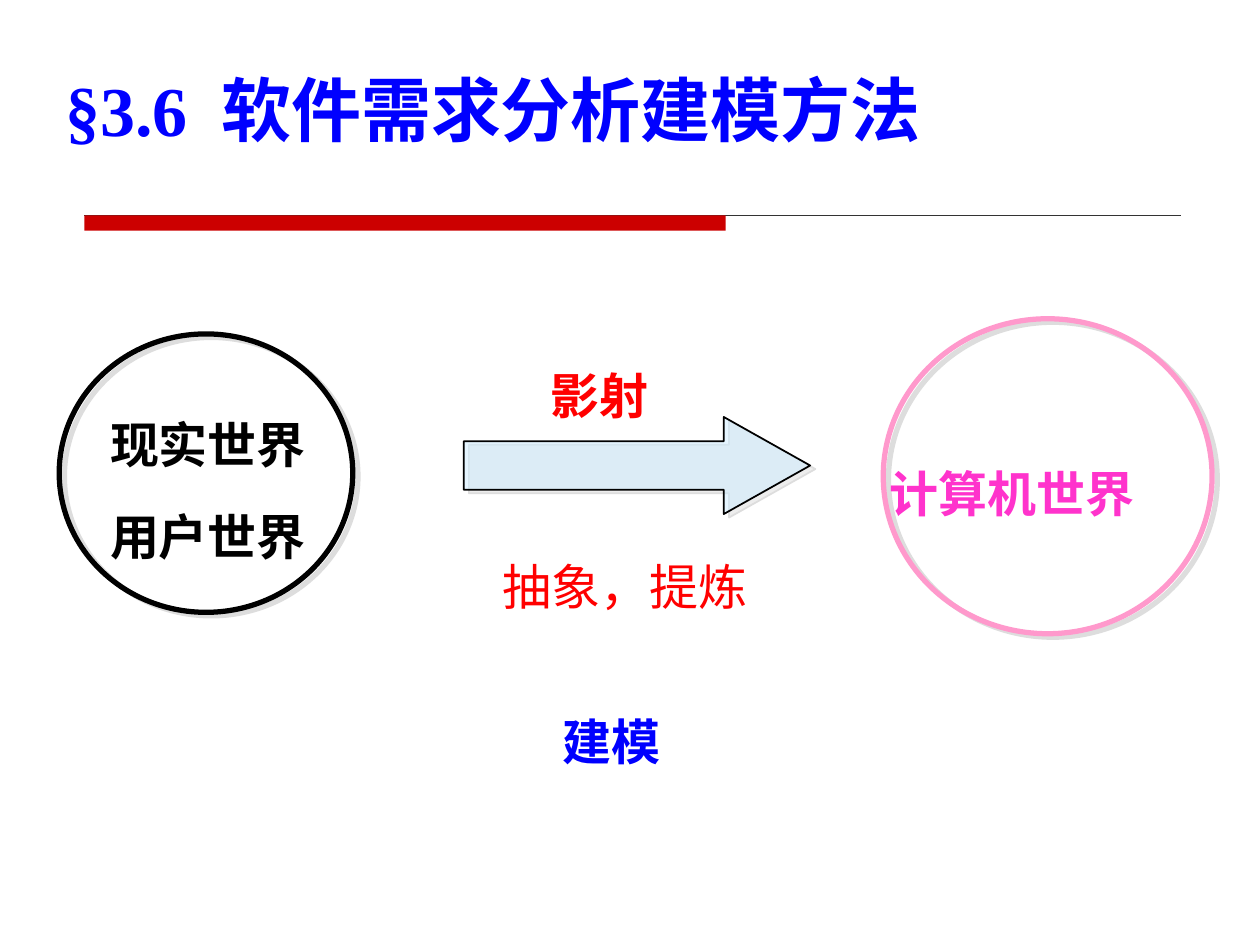
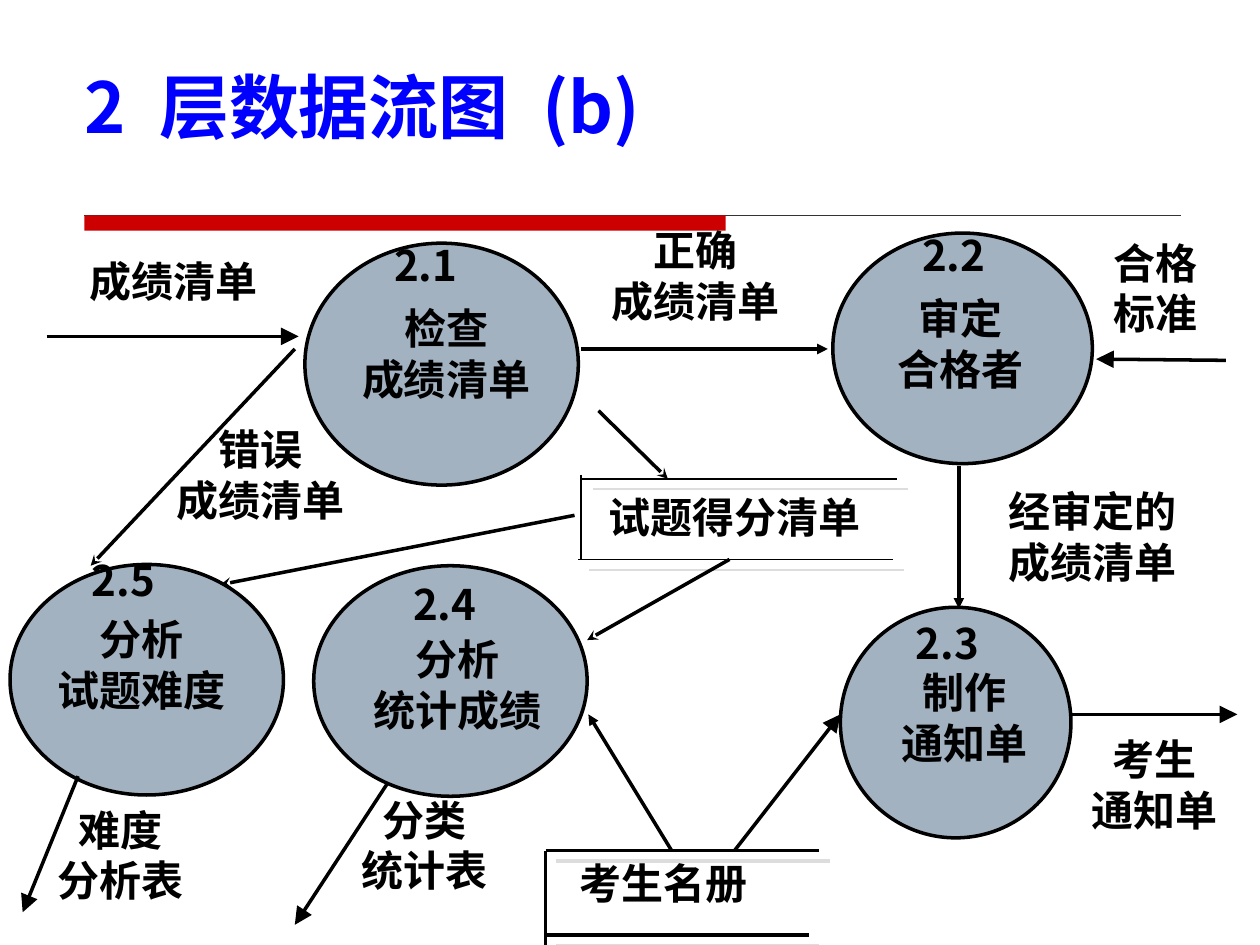
"""Build two slides on requirements modelling and a level-2 data flow diagram."""
from lxml.etree import SubElement
from pptx import Presentation
from pptx.dml.color import RGBColor
from pptx.enum.shapes import MSO_CONNECTOR as Connector, MSO_SHAPE as Shape
from pptx.enum.text import MSO_ANCHOR as Anchor, PP_ALIGN as Align
from pptx.oxml.ns import qn
from pptx.util import Inches, Pt

BLACK = RGBColor(0x00, 0x00, 0x00)
BLUE = RGBColor(0x00, 0x00, 0xFF)
RED = RGBColor(0xFF, 0x00, 0x00)
BAND_RED = RGBColor(0xCC, 0x00, 0x00)
RULE_GREY = RGBColor(0x33, 0x33, 0x33)
MAGENTA = RGBColor(0xFF, 0x33, 0xCC)
PINK = RGBColor(0xFF, 0x99, 0xCC)
PALE_BLUE = RGBColor(0xCC, 0xEC, 0xFF)
PROCESS_FILL = RGBColor(0xA3, 0xB2, 0xC1)
SHADOW_GREY = "DDDDDD"

CJK_FONT = "Noto Sans CJK SC"
TITLE_FORMAT = {"size": Pt(40), "bold": True, "name": CJK_FONT}
WORLD_FORMAT = {"size": Pt(28), "bold": True, "name": "Cambria"}
FLOW_FORMAT = {"size": Pt(24), "bold": True, "name": CJK_FONT}
WORLD_PARAGRAPH = {"alignment": Align.CENTER, "line_spacing": Pt(50)}
FLOW_PARAGRAPH = {"alignment": Align.CENTER, "line_spacing": Pt(29)}
NUMBER_PARAGRAPH = {"alignment": Align.LEFT, "line_spacing": Pt(29)}

PROCESSES = [
    ((2.42, 1.93, 2.17, 1.92), "2.1", (3.03, 1.85),
     ["检查", "成绩清单"], (2.5, 2.35, 2.08)),
    ((6.61, 1.85, 2.06, 1.83), "2.2", (7.22, 1.77),
     ["审定", "合格者"], (6.75, 2.27, 1.75)),
    ((6.67, 4.82, 1.83, 1.83), "2.3", (7.17, 4.85),
     ["制作", "通知单"], (6.78, 5.24, 1.75)),
    ((2.49, 4.49, 2.17, 1.83), "2.4", (3.18, 4.54),
     ["分析", "统计成绩"], (2.59, 4.98, 2.08)),
    ((0.08, 4.48, 2.17, 1.83), "2.5", (0.63, 4.35),
     ["分析", "试题难度"], (0.08, 4.82, 2.08)),
]
FLOW_LABELS = [
    (["成绩清单"], (0.27, 1.98, 2.22)),
    (["正确", "成绩清单"], (4.41, 1.73, 2.22)),
    (["错误", "成绩清单"], (0.96, 3.31, 2.22)),
    (["经审定的", "成绩清单"], (7.56, 3.8, 2.22)),
    (["考生", "通知单"], (8.33, 5.77, 1.67)),
    (["难度", "分析表"], (0.17, 6.33, 1.58)),
    (["分类", "统计表"], (2.58, 6.25, 1.58)),
]
FLOWS = [
    ((0.37, 2.67), (2.37, 2.67), "triangle", "lg"),
    ((4.61, 2.77), (6.57, 2.77), "triangle", "med"),
    ((9.73, 2.86), (8.7, 2.85), "triangle", "lg"),
    ((7.61, 3.7), (7.61, 4.83), "triangle", "med"),
    ((8.5, 5.67), (9.82, 5.67), "triangle", "lg"),
    ((2.34, 2.77), (0.72, 4.49), "stealth", "med"),
    ((4.75, 3.26), (5.3, 3.8), "stealth", "med"),
    ((4.56, 4.09), (1.75, 4.64), "stealth", "med"),
    ((5.79, 4.44), (4.66, 5.08), "stealth", "med"),
    ((0.62, 6.16), (0.18, 7.24), "triangle", "lg"),
    ((3.08, 6.21), (2.34, 7.34), "triangle", "lg"),
    ((5.83, 6.75), (6.67, 5.67), "triangle", "lg"),
    ((5.33, 6.75), (4.67, 5.67), "triangle", "med"),
]
STORE_LINES = [
    ((4.62, 3.8), (7.12, 3.8), 1, True),
    ((4.59, 4.44), (7.09, 4.44), 1, True),
    ((4.61, 3.77), (4.61, 4.44), 1, False),
    ((4.33, 6.75), (6.5, 6.75), 2, True),
    ((4.33, 7.42), (6.42, 7.42), 2, True),
    ((4.33, 6.75), (4.33, 7.5), 2, False),
]


def set_format(target, values):
    """Set every attribute named in the dict."""
    for name, value in values.items():
        setattr(target, name, value)


def add_run(paragraph, text, values, color):
    """Add a run in one font for Latin and East Asian text."""
    run = paragraph.add_run()
    run.text = text
    set_format(run.font, values)
    run.font.color.rgb = color
    SubElement(run._r.get_or_add_rPr(), qn("a:ea"), typeface=CJK_FONT)
    return run


def add_shadow(properties, distance, angle):
    """Give shape properties a hard grey shadow, lengths in points and degrees."""
    effects = properties.find(qn("a:effectLst"))
    shadow = SubElement(effects, qn("a:outerShdw"), dist=str(Pt(distance)),
                        dir=str(angle * 60000), algn="ctr", rotWithShape="0")
    SubElement(shadow, qn("a:srgbClr"), val=SHADOW_GREY)


def add_outline_shape(slide, kind, box, line_color, width, fill=None):
    """Add a preset shape with an outline and an optional fill."""
    shape = slide.shapes.add_shape(kind, *map(Inches, box))
    shape.shadow.inherit = False
    if fill is None:
        shape.fill.background()
    else:
        shape.fill.solid()
        shape.fill.fore_color.rgb = fill
    shape.line.color.rgb = line_color
    shape.line.width = Pt(width)
    return shape


def add_line(slide, start, end, width, color=BLACK):
    """Add a straight line without a shadow."""
    line = slide.shapes.add_connector(Connector.STRAIGHT, *map(Inches, start + end))
    line.line.color.rgb = color
    line.line.width = Pt(width)
    SubElement(line._element.spPr, qn("a:effectLst"))
    return line


def add_flow(slide, start, end, head, size):
    """Add a data flow arrow."""
    arrow = add_line(slide, start, end, 2)
    SubElement(arrow.line._get_or_add_ln(), qn("a:tailEnd"), type=head, w=size, len=size)


def add_text(slide, lines, box, paragraph_format, font_format, color, wrap=True):
    """Add a text box with one paragraph a line."""
    frame = slide.shapes.add_textbox(*map(Inches, box)).text_frame
    frame.word_wrap = wrap
    for index, line in enumerate(lines):
        paragraph = frame.add_paragraph() if index else frame.paragraphs[0]
        set_format(paragraph, paragraph_format)
        add_run(paragraph, line, font_format, color)
    return frame


def add_world_text(slide, lines, box, color, bold=True):
    """Add a large caption of the modelling slide."""
    frame = add_text(slide, lines, box, WORLD_PARAGRAPH,
                     WORLD_FORMAT | {"bold": bold}, color, wrap=False)
    for paragraph in frame.paragraphs[1:]:
        paragraph.space_before = Pt(3)


def add_flow_text(slide, lines, place, paragraph_format=FLOW_PARAGRAPH):
    """Add a label of the data flow diagram at left, top and width."""
    box = (*place, 0.1 + 0.4 * len(lines))
    add_text(slide, lines, box, paragraph_format, FLOW_FORMAT, BLACK)


def add_titled_slide(presentation, words, box, first_font=CJK_FONT):
    """Add a slide with its title, words set apart by wide spaces, and the band."""
    slide = presentation.slides.add_slide(presentation.slide_layouts[5])
    title = slide.shapes.title
    set_format(title, dict(zip(("left", "top", "width", "height"), map(Inches, box))))
    title.text_frame.vertical_anchor = Anchor.MIDDLE
    paragraph = title.text_frame.paragraphs[0]
    paragraph.alignment = Align.LEFT
    for index, word in enumerate(words):
        if index:
            space = add_run(paragraph, " ", TITLE_FORMAT, BLUE)
            space._r.get_or_add_rPr().set("spc", "1000")
        font = CJK_FONT if index else first_font
        add_run(paragraph, word, TITLE_FORMAT | {"name": font}, BLUE)
    add_line(slide, (0.67, 1.71), (9.37, 1.71), 0.75, RULE_GREY)
    band = add_outline_shape(slide, Shape.RECTANGLE, (0.67, 1.71, 5.09, 0.12),
                             BAND_RED, 0.75, BAND_RED)
    band.line.fill.background()
    return slide


def build_modelling_slide(presentation):
    """Show the real world mapped to the computer world."""
    slide = add_titled_slide(presentation, ["§3.6", "软件需求分析建模方法"],
                             (0.42, 0.35, 8.36, 1.02), "Times New Roman")
    real_world = add_outline_shape(slide, Shape.OVAL, (0.47, 2.65, 2.33, 2.21), BLACK, 3)
    computer_world = add_outline_shape(slide, Shape.OVAL, (7.01, 2.53, 2.61, 2.5), PINK, 3)
    mapping = add_outline_shape(slide, Shape.RIGHT_ARROW, (3.68, 3.31, 2.75, 0.77),
                                BLACK, 1, PALE_BLUE)
    mapping.adjustments[1] = 0.89
    fill_color = mapping._element.spPr.find(qn("a:solidFill"))[0]
    SubElement(fill_color, qn("a:alpha"), val="50000")
    for shape in (real_world, computer_world, mapping):
        add_shadow(shape._element.spPr, 3.6, 34)
    add_world_text(slide, ["现实世界", "用户世界"], (0.76, 3.01, 1.78, 1.51), BLACK)
    add_world_text(slide, ["计算机世界"], (6.96, 3.4, 2.14, 0.94), MAGENTA)
    add_world_text(slide, ["影射"], (4.26, 2.62, 0.99, 0.69), RED)
    add_world_text(slide, ["抽象，提炼"], (3.88, 4.14, 2.16, 0.69), RED, bold=False)
    add_world_text(slide, ["建模"], (4.36, 5.37, 0.99, 0.69), BLUE)


def build_data_flow_slide(presentation):
    """Show the processes, stores and flows of the level-2 diagram."""
    slide = add_titled_slide(presentation, ["2", "层数据流图", "(b)"],
                             (0.57, 0.45, 6, 0.77))
    for oval, number, number_place, lines, place in PROCESSES:
        add_outline_shape(slide, Shape.OVAL, oval, BLACK, 2, PROCESS_FILL)
        add_flow_text(slide, lines, place)
        add_flow_text(slide, [number], (*number_place, 1.03), NUMBER_PARAGRAPH)
    for start, end, width, shadowed in STORE_LINES:
        line = add_line(slide, start, end, width)
        if shadowed:
            add_shadow(line._element.spPr, 8.5, 45)
    for flow in FLOWS:
        add_flow(slide, *flow)
    for lines, place in FLOW_LABELS:
        add_flow_text(slide, lines, place)
    add_flow_text(slide, ["合格", "标准"], (8.74, 1.83, 1.26), NUMBER_PARAGRAPH)
    add_flow_text(slide, ["试题得分清单"], (4.73, 3.85, 2.9), NUMBER_PARAGRAPH)
    add_flow_text(slide, ["考生名册"], (4.5, 6.75, 1.98), NUMBER_PARAGRAPH)


def main():
    """Build and save the presentation."""
    presentation = Presentation()
    presentation.slide_width = Inches(10)
    presentation.slide_height = Inches(7.5)
    build_modelling_slide(presentation)
    build_data_flow_slide(presentation)
    presentation.save("out.pptx")


if __name__ == "__main__":
    main()
